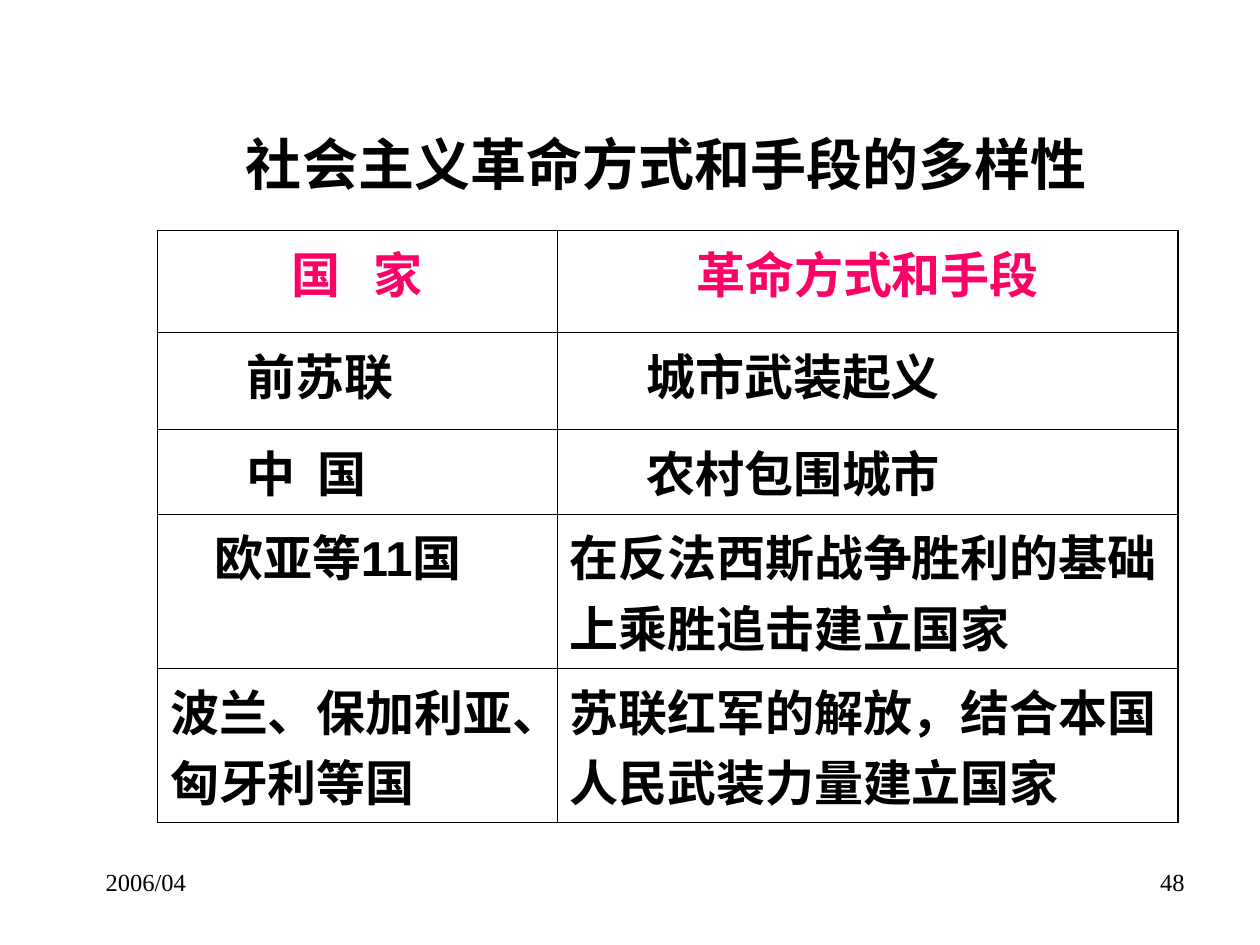
from lxml.etree import SubElement
from pptx import Presentation
from pptx.dml.color import RGBColor
from pptx.enum.text import MSO_ANCHOR, MSO_AUTO_SIZE, PP_ALIGN
from pptx.oxml import parse_xml
from pptx.oxml.ns import nsdecls, qn
from pptx.util import Inches, Pt

BLACK = RGBColor(0x00, 0x00, 0x00)
PINK = RGBColor(0xFF, 0x00, 0x66)
CHINESE_FONT = "Noto Sans CJK SC"

COLUMN_WIDTHS = [3.17, 4.93]
ROW_HEIGHTS = [0.81, 0.77, 0.67, 1.15, 1.18]
ROWS = [
    ["国 家", "革命方式和手段"],
    ["前苏联", "城市武装起义"],
    ["中 国", "农村包围城市"],
    ["欧亚等11国", "在反法西斯战争胜利的基础上乘胜追击建立国家"],
    ["波兰、保加利亚、匈牙利等国", "苏联红军的解放，结合本国人民武装力量建立国家"],
]
INDENTS = {(1, 0): 0.61, (1, 1): 0.61, (2, 0): 0.61, (2, 1): 0.61, (3, 0): 0.35}
LETTER_SPACING = {(0, 0): 6.3, (2, 0): 3.1}


class SlideBuilder:
    outer_line = 1.08
    inner_line = 0.45

    def __init__(self, deck):
        self.slide = deck.slides.add_slide(deck.slide_layouts[5])

    def format_text(self, para, size, font, color=BLACK, bold=False, spacing=0):
        for span in para.runs:
            span.font.size = Pt(size)
            span.font.name = font
            span.font.bold = bold
            span.font.color.rgb = color
            properties = span.font._element
            SubElement(properties, qn("a:ea")).set("typeface", CHINESE_FONT)
            if spacing:
                properties.set("spc", str(round(spacing * 100)))

    def indent(self, para, inches):
        properties = para._p.get_or_add_pPr()
        properties.set("marL", str(Inches(inches)))
        properties.set("indent", "0")

    def title(self, text, left, top, width, height):
        box = self.slide.shapes.title
        box.left, box.top = Inches(left), Inches(top)
        box.width, box.height = Inches(width), Inches(height)
        frame = box.text_frame
        frame.text = text
        frame.auto_size = MSO_AUTO_SIZE.NONE
        frame.vertical_anchor = MSO_ANCHOR.MIDDLE
        frame.paragraphs[0].alignment = PP_ALIGN.CENTER
        self.format_text(frame.paragraphs[0], 32, CHINESE_FONT, bold=True)

    def footer(self, text, left, alignment):
        box = self.slide.shapes.add_textbox(
            Inches(left), Inches(6.83), Inches(2.33), Inches(0.52))
        frame = box.text_frame
        frame.word_wrap = True
        frame.text = text
        para = frame.paragraphs[0]
        para.alignment = alignment
        self.indent(para, 0.24)
        self.format_text(para, 14, "Times New Roman")

    def borders(self, cell, outer_sides):
        cell.fill.background()
        properties = cell._tc.get_or_add_tcPr()
        for position, side in enumerate("LRTB"):
            width = self.outer_line if side in outer_sides else self.inner_line
            properties.insert(position, parse_xml(
                f'<a:ln{side} {nsdecls("a")} w="{Pt(width)}"><a:solidFill>'
                f'<a:srgbClr val="{BLACK}"/></a:solidFill></a:ln{side}>'))

    def table(self, rows, left, top, widths, heights):
        table = self.slide.shapes.add_table(
            len(rows), len(widths), Inches(left), Inches(top),
            Inches(sum(widths)), Inches(sum(heights))).table
        table.first_row = False
        table.horz_banding = False
        for column, width in zip(table.columns, widths):
            column.width = Inches(width)
        for row, height in zip(table.rows, heights):
            row.height = Inches(height)
        for row_index, texts in enumerate(rows):
            for column_index, text in enumerate(texts):
                place = (row_index, column_index)
                header = row_index == 0
                cell = table.cell(*place)
                cell.text_frame.text = text
                para = cell.text_frame.paragraphs[0]
                para.alignment = PP_ALIGN.CENTER if header else PP_ALIGN.LEFT
                cell.margin_top = Inches(0.05)
                para.space_before = Pt(7)
                self.indent(para, INDENTS.get(place, 0))
                self.format_text(para, 28, "Arial", PINK if header else BLACK,
                                 True, LETTER_SPACING.get(place, 0))
                outer_sides = "L" if column_index == 0 else "R"
                if header:
                    outer_sides += "T"
                if row_index == len(rows) - 1:
                    outer_sides += "B"
                self.borders(cell, outer_sides)


def main():
    deck = Presentation()
    deck.slide_width, deck.slide_height = Inches(10), Inches(7.5)
    page = SlideBuilder(deck)
    page.title("社会主义革命方式和手段的多样性", 1.33, 0.92, 7.92, 0.75)
    page.table(ROWS, 1.25, 1.83, COLUMN_WIDTHS, ROW_HEIGHTS)
    page.footer("48", 7.17, PP_ALIGN.RIGHT)
    page.footer("2006/04", 0.5, PP_ALIGN.LEFT)
    deck.save("out.pptx")


if __name__ == "__main__":
    main()
